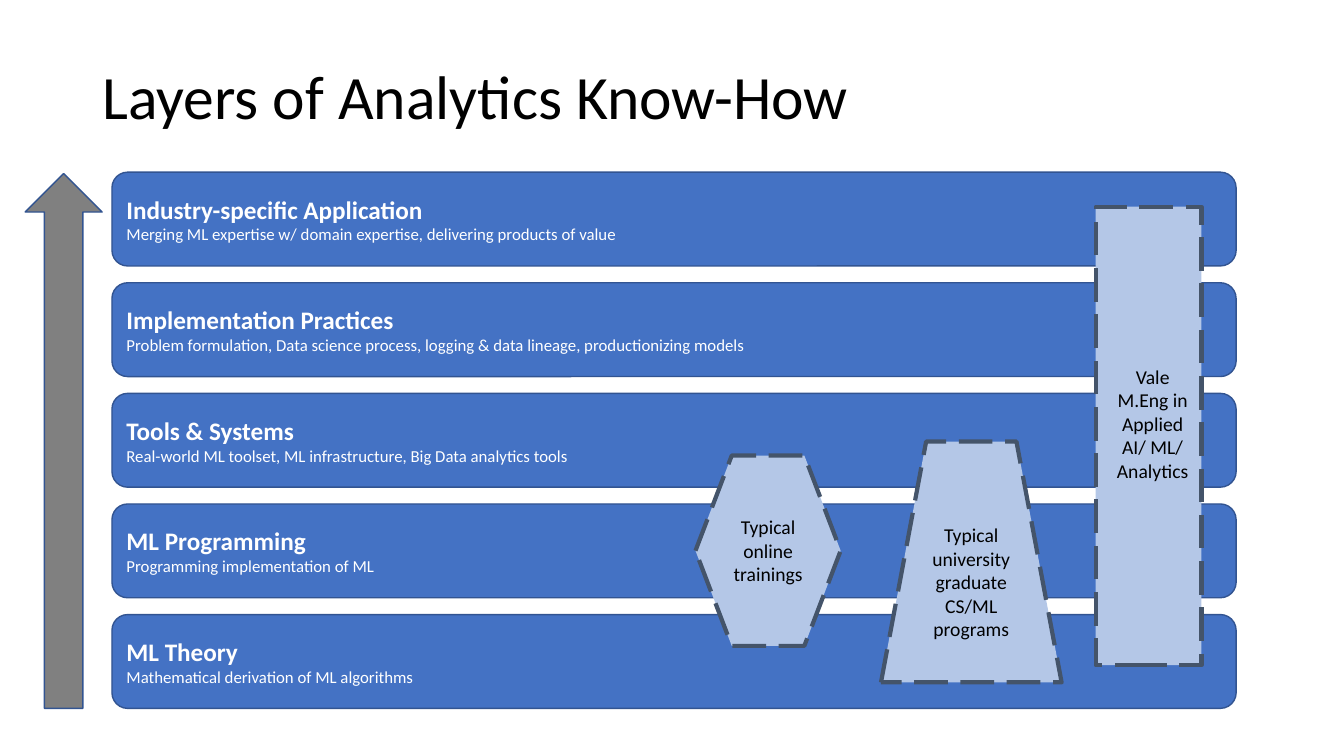
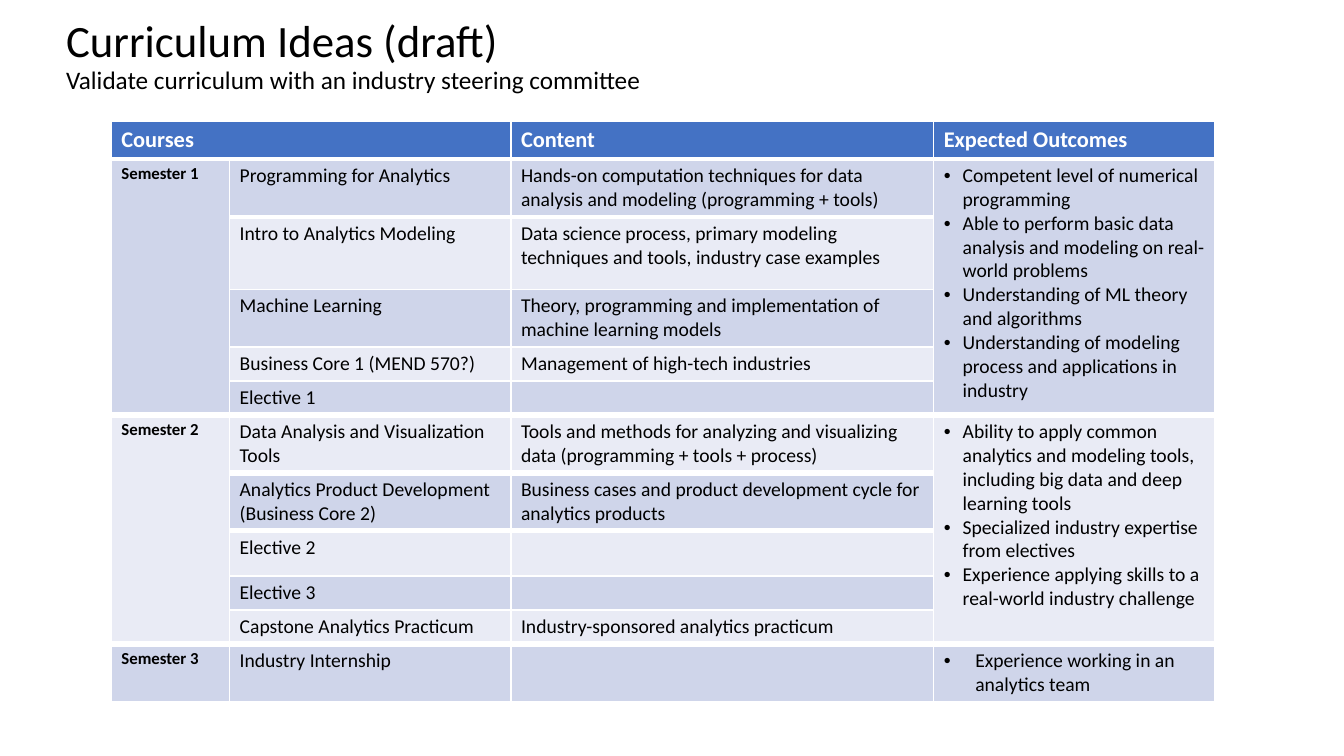
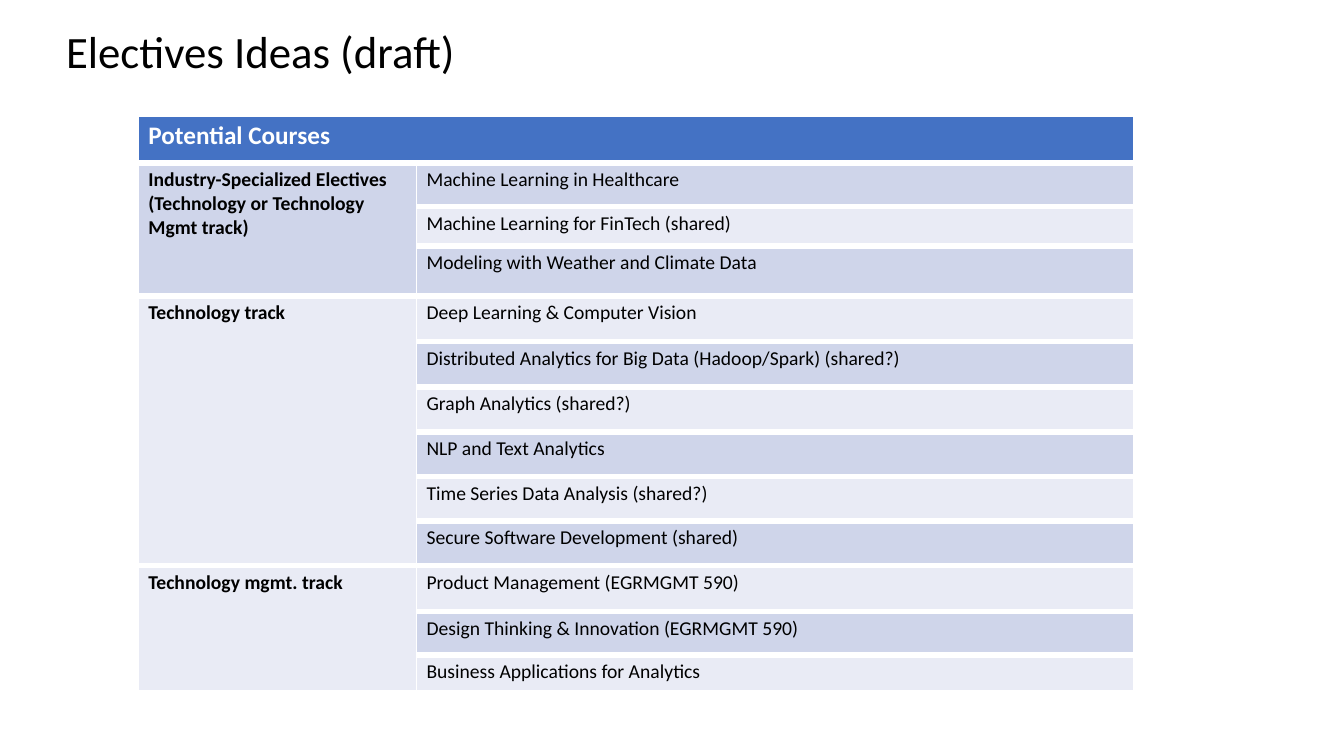
from lxml.etree import SubElement
from pptx import Presentation
from pptx.dml.color import RGBColor
from pptx.enum.dml import MSO_LINE
from pptx.enum.shapes import MSO_SHAPE
from pptx.enum.text import MSO_ANCHOR, MSO_AUTO_SIZE, PP_ALIGN
from pptx.oxml.ns import qn
from pptx.util import Pt


def rgb(value):
    """Turn a hex string into a colour."""
    return RGBColor.from_string(value)


class Deck:
    """Hold the shared style and the current slide."""

    FONT = "Calibri"
    BLACK, WHITE = "000000", "FFFFFF"
    BLUE, EDGE = "4472C4", "325491"
    PALE, SLATE, GRAY = "B4C7E7", "44546A", "808080"
    BANDS = ("E9EBF5", "CFD5EA")

    def __init__(self):
        """Open a blank widescreen presentation."""
        self.prs = Presentation()
        self.prs.slide_width, self.prs.slide_height = Pt(960), Pt(540)

    def style(self, p, size, color=BLACK, bold=False, align=PP_ALIGN.LEFT):
        """Format every run of a paragraph."""
        p.alignment = align
        for r in p.runs:
            r.font.name, r.font.size, r.font.bold = self.FONT, Pt(size), bold
            r.font.color.rgb = rgb(color)

    def slide(self, title, top, left=40, size=32):
        """Add a slide with its title; a second line is smaller."""
        self.s = self.prs.slides.add_slide(self.prs.slide_layouts[5])
        sp = self.s.shapes.title
        sp.left, sp.top, sp.width, sp.height = Pt(left), Pt(top), Pt(828), Pt(104.4)
        tf = sp.text_frame
        tf.text = title
        tf.word_wrap, tf.auto_size = True, MSO_AUTO_SIZE.NONE
        tf.vertical_anchor = MSO_ANCHOR.MIDDLE
        p = tf.paragraphs[0]
        p.line_spacing = 0.9
        self.style(p, size)
        for r in p.runs[1:]:
            r.font.size = Pt(18)

    def shape(self, kind, box, fill, line=EDGE, width=1):
        """Add a filled and outlined preset shape."""
        sp = self.s.shapes.add_shape(kind, *map(Pt, box))
        sp.shadow.inherit = False
        sp.fill.solid()
        sp.fill.fore_color.rgb = rgb(fill)
        sp.line.color.rgb = rgb(line)
        sp.line.width = Pt(width)
        return sp

    def layer(self, top, name, detail):
        """Add one full-width layer bar."""
        sp = self.shape(MSO_SHAPE.ROUNDED_RECTANGLE, (80, top, 803, 67), self.BLUE)
        tf = sp.text_frame
        tf.text = f"{name}\n{detail}"
        tf.vertical_anchor = MSO_ANCHOR.MIDDLE
        self.style(tf.paragraphs[0], 18, self.WHITE, True)
        self.style(tf.paragraphs[1], 12, self.WHITE)

    def program(self, kind, box, text, label_box=None):
        """Add a dashed program outline, its label inside or in its own box."""
        sp = self.shape(kind, box, self.PALE, self.SLATE, 3)
        sp.line.dash_style = MSO_LINE.LONG_DASH
        if label_box:
            sp = self.s.shapes.add_textbox(*map(Pt, label_box))
        tf = sp.text_frame
        tf.text = text
        tf.word_wrap = True
        tf.vertical_anchor = MSO_ANCHOR.TOP if label_box else MSO_ANCHOR.MIDDLE
        self.style(tf.paragraphs[0], 14, align=PP_ALIGN.CENTER)

    def rule(self, cell, tag, width):
        """Draw a white horizontal border on a cell."""
        if width:
            ln = SubElement(cell._tc.get_or_add_tcPr(), qn(tag), w=str(Pt(width)))
            fill = SubElement(ln, qn("a:solidFill"))
            SubElement(fill, qn("a:srgbClr"), val=self.WHITE)

    def bullet(self, p, indent):
        """Give a paragraph a hanging bullet."""
        pPr = p._p.get_or_add_pPr()
        pPr.set("marL", str(Pt(indent)))
        pPr.set("indent", str(-Pt(indent)))
        SubElement(pPr, qn("a:buFont"), typeface="Arial")
        SubElement(pPr, qn("a:buChar"), char="•")

    def cell_text(self, cell, content, size, color, bold):
        """Write a cell; a list becomes bullets."""
        bullets = isinstance(content, list)
        cell.text = "\n".join(content) if bullets else content or ""
        for p in cell.text_frame.paragraphs:
            self.style(p, size, color, bold)
            if bullets:
                self.bullet(p, 13.5 if len(content) > 1 else 22.5)
            if not p.runs:
                SubElement(p._p, qn("a:endParaRPr"), sz=str(size * 100))

    def table(self, left, top, cols, heights, rows, heavy, head_size, label_size):
        """Add a banded table; None joins the cell to its left (header) or above."""
        frame = self.s.shapes.add_table(
            len(rows), len(cols), Pt(left), Pt(top), Pt(sum(cols)), Pt(sum(heights)))
        tb = frame.table
        for col, width in zip(tb.columns, cols):
            col.width = Pt(width)
        for row, height in zip(tb.rows, heights):
            row.height = Pt(height)
        for i, row in enumerate(rows):
            for j, content in enumerate(row):
                cell = tb.cell(i, j)
                size = head_size if i == 0 else 14 if j else label_size
                color = self.BLACK if i else self.WHITE
                self.cell_text(cell, content, size, color, i == 0 or j == 0)
                if content is not None:
                    last = i
                    while i and last + 1 < len(rows) and rows[last + 1][j] is None:
                        last += 1
                    self.rule(cell, "a:lnT", heavy.get(i - 1))
                    self.rule(cell, "a:lnB", heavy.get(last))
                    if last > i:
                        self.rule(tb.cell(last, j), "a:lnB", heavy.get(last))
                        cell.merge(tb.cell(last, j))
                elif i == 0:
                    tb.cell(0, j - 1).merge(cell)
                cell.fill.solid()
                cell.fill.fore_color.rgb = rgb(self.BANDS[i % 2] if i else self.BLUE)


LAYERS = [
    ("Industry-specific Application",
     "Merging ML expertise w/ domain expertise, delivering products of value"),
    ("Implementation Practices",
     "Problem formulation, Data science process, logging & data lineage, productionizing models"),
    ("Tools & Systems", "Real-world ML toolset, ML infrastructure, Big Data analytics tools"),
    ("ML Programming", "Programming implementation of ML"),
    ("ML Theory", "Mathematical derivation of ML algorithms"),
]

CURRICULUM = [
    ("Courses", None, "Content", "Expected Outcomes"),
    ("Semester 1", "Programming for Analytics",
     "Hands-on computation techniques for data analysis and modeling (programming + tools)",
     ["Competent level of numerical programming",
      "Able to perform basic data analysis and modeling on real-world problems",
      "Understanding of ML theory and algorithms",
      "Understanding of modeling process and applications in industry"]),
    (None, "Intro to Analytics Modeling",
     "Data science process, primary modeling techniques and tools, industry case examples", None),
    (None, "Machine Learning",
     "Theory, programming and implementation of machine learning models", None),
    (None, "Business Core 1 (MEND 570?)", "Management of high-tech industries", None),
    (None, "Elective 1", "", None),
    ("Semester 2", "Data Analysis and Visualization Tools",
     "Tools and methods for analyzing and visualizing data (programming + tools + process)",
     ["Ability to apply common analytics and modeling tools, including big data and deep learning tools",
      "Specialized industry expertise from electives",
      "Experience applying skills to a real-world industry challenge"]),
    (None, "Analytics Product Development (Business Core 2)",
     "Business cases and product development cycle for analytics products", None),
    (None, "Elective 2", "", None),
    (None, "Elective 3", "", None),
    (None, "Capstone Analytics Practicum", "Industry-sponsored analytics practicum", None),
    ("Semester 3", "Industry Internship", "", ["Experience working in an analytics team"]),
]

ELECTIVES = [
    ("Potential Courses", None),
    ("Industry-Specialized Electives\n(Technology or Technology Mgmt track)",
     "Machine Learning in Healthcare"),
    (None, "Machine Learning for FinTech (shared)"),
    (None, "Modeling with Weather and Climate Data"),
    ("Technology track", "Deep Learning & Computer Vision"),
    (None, "Distributed Analytics for Big Data (Hadoop/Spark) (shared?)"),
    (None, "Graph Analytics (shared?)"),
    (None, "NLP and Text Analytics"),
    (None, "Time Series Data Analysis (shared?)"),
    (None, "Secure Software Development (shared)"),
    ("Technology mgmt. track", "Product Management (EGRMGMT 590)"),
    (None, "Design Thinking & Innovation (EGRMGMT 590)"),
    (None, "Business Applications for Analytics"),
]


def main():
    """Build the three slides."""
    d = Deck()

    d.slide("Layers of Analytics Know-How", 18.7, 66, 44)
    for i, (name, detail) in enumerate(LAYERS):
        d.layer(123 + 79 * i, name, detail)
    d.shape(MSO_SHAPE.UP_ARROW, (18, 124, 55, 382), d.GRAY)
    d.program(MSO_SHAPE.TRAPEZOID, (629.3, 315.4, 129, 172),
              "Typical university graduate CS/ML programs")
    d.program(MSO_SHAPE.RECTANGLE, (782.6, 147.6, 75.6, 327.6),
              "Vale M.Eng in Applied AI/ ML/ Analytics", (787.7, 257, 71.3, 92))
    d.program(MSO_SHAPE.HEXAGON, (496.8, 325.4, 103.7, 136),
              "Typical online trainings", (512, 364.3, 73.4, 68.4))

    d.slide("Curriculum Ideas (draft)\vValidate curriculum with an industry steering committee", -11.5)
    d.table(79.5, 86.7, (84.5, 201, 302, 201),
            (25.2, 38.2, 51.8, 36.7, 23, 23, 38.2, 38.2, 32.4, 23, 23, 40.8),
            CURRICULUM, {0: 3, 5: 4.5, 6: 4.5, 10: 4.5}, 16, 12)

    d.slide("Electives Ideas (draft)", -13.7)
    d.table(98.8, 82.8, (198.7, 512),
            (33.8, 31, 28, 36, 32.4, 32.4, 32.4, 31.7, 31.7, 31.7, 33.1, 31, 25.2),
            ELECTIVES, {i: 4.5 for i in range(11) if i != 2}, 18, 14)

    d.prs.save("out.pptx")


if __name__ == "__main__":
    main()
